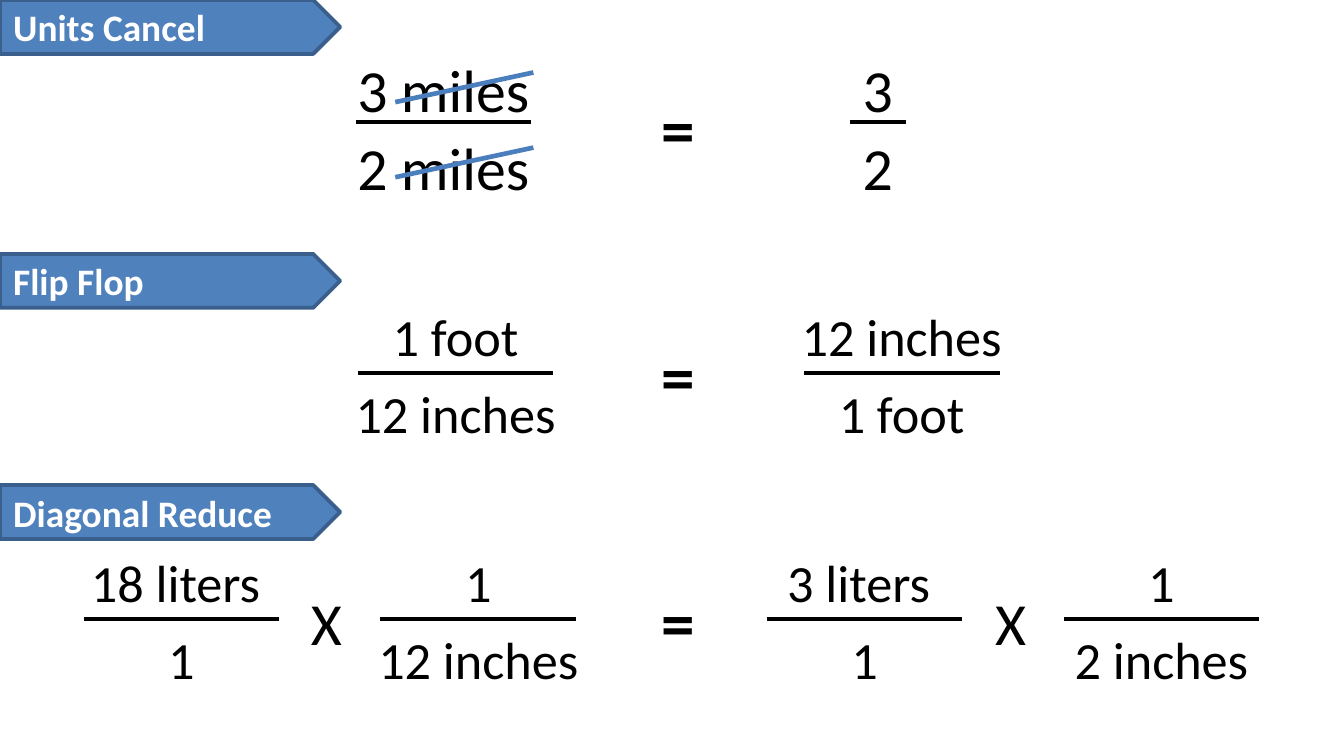
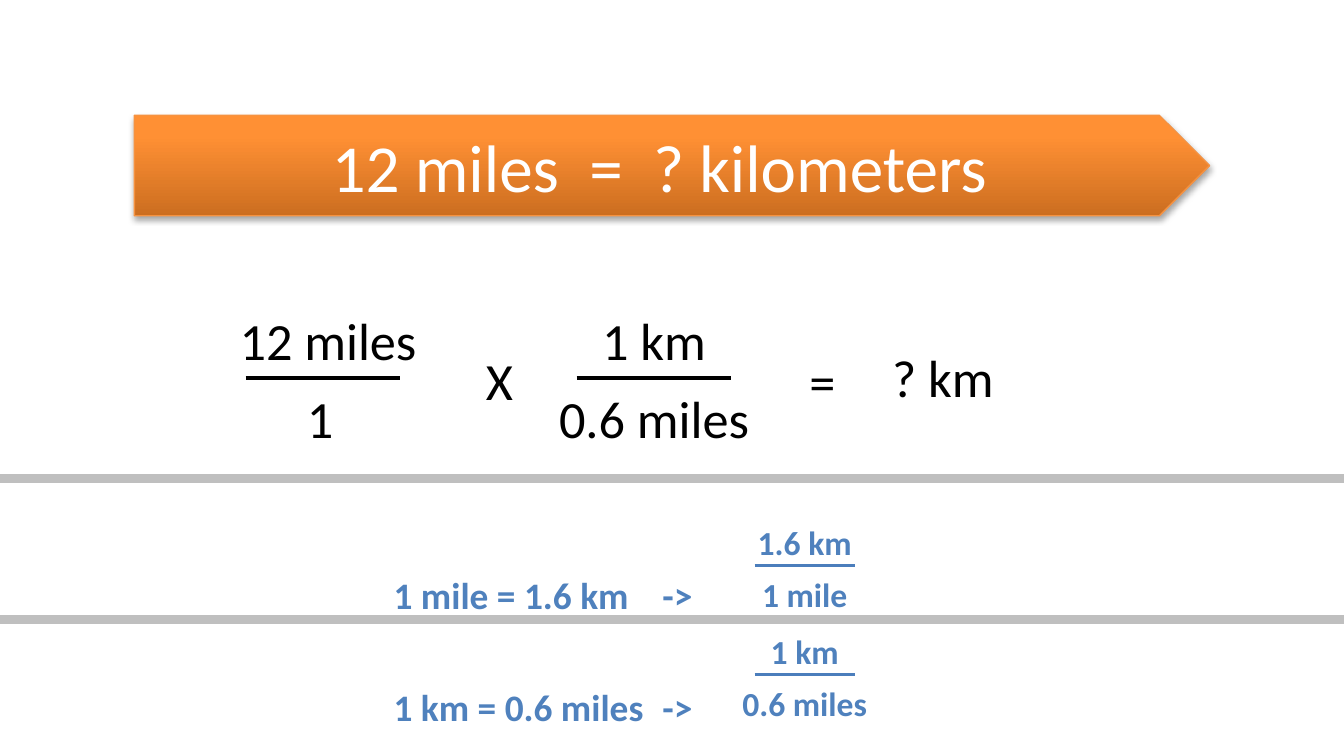
from copy import deepcopy

from lxml import etree
from pptx import Presentation
from pptx.dml.color import RGBColor
from pptx.enum.shapes import MSO_CONNECTOR, MSO_SHAPE
from pptx.enum.text import MSO_ANCHOR, PP_ALIGN
from pptx.oxml.ns import qn
from pptx.util import Cm, Pt

BLACK = RGBColor(0x00, 0x00, 0x00)
WHITE = RGBColor(0xFF, 0xFF, 0xFF)
BLUE = RGBColor(0x4F, 0x81, 0xBD)
STROKE = RGBColor(0x4B, 0x7E, 0xBC)
NAVY = RGBColor(0x3A, 0x5F, 0x8C)
GREY = RGBColor(0xBF, 0xBF, 0xBF)
AMBER = RGBColor(0xF6, 0x92, 0x40)
FADE = [
    (0, RGBColor(0xCC, 0x6E, 0x20)),
    (0.8, RGBColor(0xFF, 0x90, 0x34)),
    (1, RGBColor(0xFF, 0x91, 0x36)),
]
FONT = "Calibri"
LEFT = PP_ALIGN.LEFT
CENTER = PP_ALIGN.CENTER
MIDDLE = MSO_ANCHOR.MIDDLE
PLATE = MSO_SHAPE.PENTAGON
STRAIGHT = MSO_CONNECTOR.STRAIGHT
WIDTH = 25.4


def write(frame, text, size, color=BLACK, bold=False, align=CENTER):
    frame.text = text
    for para in frame.paragraphs:
        para.alignment = align
        para.font.name = FONT
        para.font.size = Pt(size)
        para.font.bold = bold
        para.font.color.rgb = color


def rule(page, x1, y1, x2, y2, color=BLACK, weight=2):
    line = page.shapes.add_connector(STRAIGHT, Cm(x1), Cm(y1), Cm(x2), Cm(y2))
    line.line.color.rgb = color
    line.line.width = Pt(weight)
    etree.SubElement(line._element.spPr, qn("a:effectLst"))


deck = Presentation()
deck.slide_width = Cm(WIDTH)
deck.slide_height = Cm(14.29)
blank = deck.slide_layouts[6]
rules = deck.slides.add_slide(blank)
task = deck.slides.add_slide(blank)

ratios = [
    (rules, 32, 8.38, 2.3, 3.3, "3 miles", 3.81, "2 miles", 3.81, 0),
    (rules, 32, 16.59, 2.3, 1.07, "3", 1.09, "2", 1.09, 0),
    (rules, 28, 8.61, 7.05, 3.7, "1 foot", 2.92, "12 inches", 4.34, 0),
    (rules, 28, 17.04, 7.05, 3.7, "12 inches", 4.34, "1 foot", 2.92, 0),
    (rules, 28, 3.43, 11.7, 3.7, "18 liters ", 3.99, "1", 1.02, 0),
    (rules, 28, 9.04, 11.7, 3.7, "1", 1.02, "12 inches", 4.34, 0),
    (rules, 28, 16.34, 11.7, 3.7, "3 liters ", 3.48, "1", 1.02, 0),
    (rules, 28, 21.95, 11.7, 3.7, "1", 1.02, "2 inches", 3.84, 0),
    (task, 28, 6.1, 7.14, 2.92, "12 miles", 3.89, "1", 1.02, 0.1),
    (task, 28, 12.36, 7.14, 2.92, "1 km", 2.49, "0.6 miles", 4.14, 0),
]
labels = [
    (rules, "=", 36, True, 12.81, 1.52, 1.14),
    (rules, "=", 36, True, 12.81, 6.2, 1.14),
    (rules, "=", 36, True, 12.81, 10.85, 1.14),
    (rules, "X", 32, False, 6.17, 10.95, 1.12),
    (rules, "X", 32, False, 19.1, 10.95, 1.12),
    (task, "X", 28, False, 9.44, 6.45, 1.04),
    (task, "=", 28, False, 15.54, 6.48, 1.02),
    (task, "? km", 28, False, 17.82, 6.4, 2.46),
]
for page, size, mid, bar, span, top, wide, base, broad, lean in ratios:
    labels.append((page, top, size, False, mid + lean, bar - 1.43, wide))
    labels.append((page, base, size, False, mid - lean / 2, bar + 0.04, broad))
    rule(page, mid - span / 2, bar, mid + span / 2, bar)

for page, text, size, bold, mid, top, wide in labels:
    box = page.shapes.add_textbox(
        Cm(mid - wide / 2), Cm(top), Cm(wide), Cm(size / 20))
    box.text_frame.word_wrap = False
    write(box.text_frame, text, size, bold=bold)

for top in (1.37, 2.79):
    rule(rules, 10.08, top, 7.47, top + 0.56, STROKE, 2.5)

for text, top in (("Units Cancel", 0), ("Flip Flop", 4.8), ("Diagonal Reduce", 9.17)):
    tag = rules.shapes.add_shape(PLATE, 0, Cm(top), Cm(6.43), Cm(1.02))
    tag.shadow.inherit = False
    tag.fill.solid()
    tag.fill.fore_color.rgb = BLUE
    tag.line.color.rgb = NAVY
    tag.line.width = Pt(2)
    tag.text_frame.vertical_anchor = MIDDLE
    write(tag.text_frame, text, 20, WHITE, True, LEFT)

banner = task.shapes.add_shape(PLATE, Cm(2.54), Cm(2.18), Cm(20.32), Cm(1.9))
banner.line.color.rgb = AMBER
banner.line.width = Pt(0.75)
banner.fill.gradient()
banner.fill.gradient_angle = 90
stops = banner._element.spPr.find(qn("a:gradFill")).find(qn("a:gsLst"))
stops.append(deepcopy(stops[0]))
for stop, (place, color) in zip(banner.fill.gradient_stops, FADE):
    stop.position = place
    stop.color.rgb = color
banner.shadow.inherit = False
effect = banner._element.spPr.find(qn("a:effectLst"))
shade = etree.SubElement(
    effect, qn("a:outerShdw"), blurRad="40000", dist="23000",
    dir="5400000", rotWithShape="0")
tint = etree.SubElement(shade, qn("a:srgbClr"), val="000000")
etree.SubElement(tint, qn("a:alpha"), val="35000")
banner.text_frame.vertical_anchor = MIDDLE
write(banner.text_frame, "12 miles  =  ? kilometers", 36, WHITE)

facts = task.shapes.add_textbox(Cm(7.19), Cm(9.42), Cm(6.22), Cm(4.52))
facts.text_frame.word_wrap = False
write(facts.text_frame, "1 mile = 1.6 km\t->\n1 km = 0.6 miles\t->", 20, BLUE, True, LEFT)
for para in facts.text_frame.paragraphs:
    para.line_spacing = 2.5

for text, top, wide in (("1.6 km\n1 mile", 9.75, 2.31), ("1 km\n0.6 miles", 11.81, 2.9)):
    mid = 15.21
    box = task.shapes.add_textbox(Cm(mid - wide / 2), Cm(top), Cm(wide), Cm(2.01))
    box.text_frame.word_wrap = False
    write(box.text_frame, text, 18, BLUE, True)
    for para in box.text_frame.paragraphs:
        para.space_after = Pt(6)
    rule(task, mid - 0.95, top + 0.94, mid + 0.95, top + 0.94, STROKE)

for top in (9.04, 11.71):
    rule(task, 0, top, WIDTH, top, GREY, 5)

deck.save("out.pptx")
